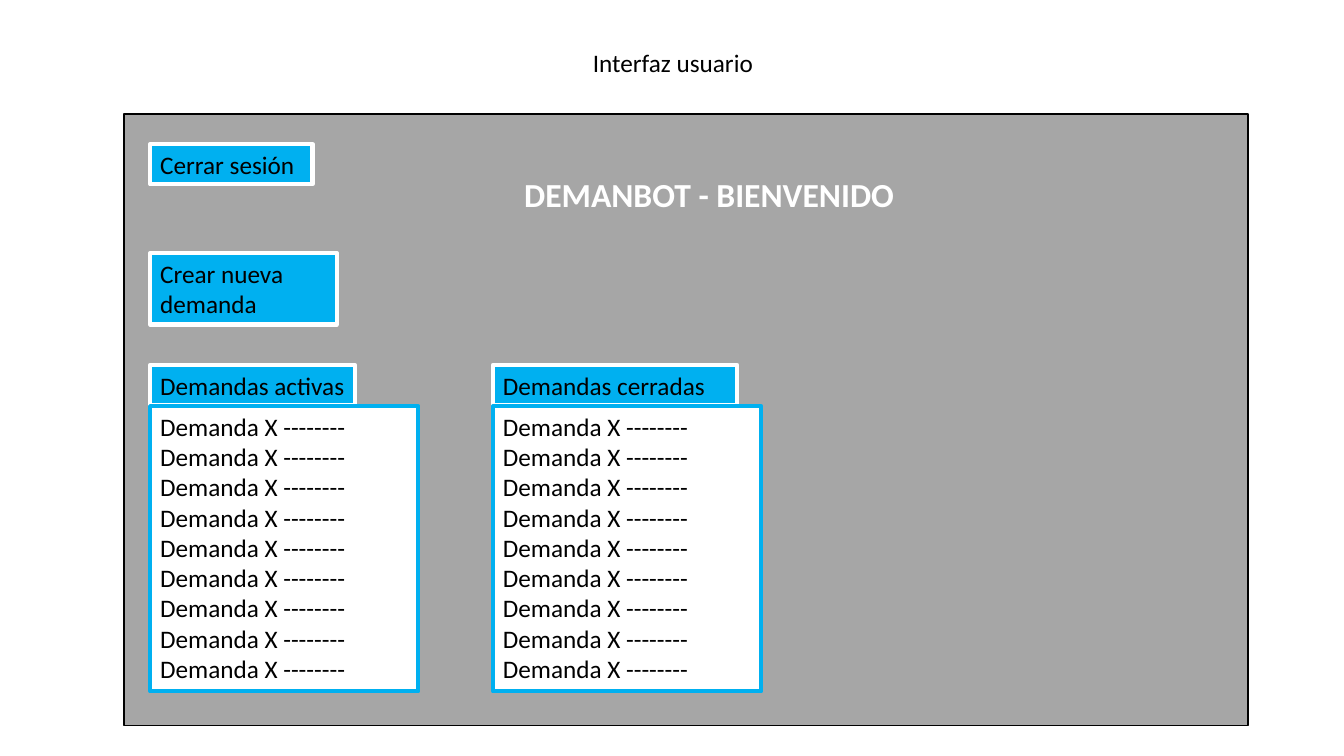
import pptx
import pptx.util
import pptx.dml.color
import pptx.enum.shapes
import pptx.enum.text

Inches = pptx.util.Inches
RGBColor = pptx.dml.color.RGBColor

BLACK = RGBColor(0, 0, 0)
WHITE = RGBColor(255, 255, 255)
GRAY = RGBColor(0xA6, 0xA6, 0xA6)
BLUE = RGBColor(0x00, 0xB0, 0xF0)

TITLE = "Interfaz usuario"
WELCOME = "DEMANBOT - BIENVENIDO"
CLAIM = "Demanda X --------"
CLAIMS = [CLAIM] * 6 + [f"{CLAIM} {CLAIM}", CLAIM]

LEFT = 1.49
COLUMN_STEP = 3.4
BUTTONS = [
    ("Cerrar sesión", 1.43, 1.61, 0.4),
    ("Crear nueva demanda", 2.51, 1.85, 0.71),
]
LISTS = [("Demandas activas", 2.03), ("Demandas cerradas", 2.42)]


def write(shape, lines, size=18, color=BLACK, bold=False):
    frame = shape.text_frame
    frame.word_wrap = True
    frame.auto_size = pptx.enum.text.MSO_AUTO_SIZE.NONE
    frame.vertical_anchor = pptx.enum.text.MSO_ANCHOR.TOP
    frame.text = "\n".join(lines)
    for paragraph in frame.paragraphs:
        paragraph.alignment = pptx.enum.text.PP_ALIGN.LEFT
        paragraph.font.name = "Calibri"
        paragraph.font.size = pptx.util.Pt(size)
        paragraph.font.bold = bold
        paragraph.font.color.rgb = color


def add_box(slide, left, top, width, height, fill, line, weight, lines=()):
    shape = slide.shapes.add_shape(
        pptx.enum.shapes.MSO_SHAPE.RECTANGLE,
        Inches(left), Inches(top), Inches(width), Inches(height))
    shape.shadow.inherit = False
    shape.fill.solid()
    shape.fill.fore_color.rgb = fill
    shape.line.color.rgb = line
    shape.line.width = pptx.util.Pt(weight)
    if lines:
        write(shape, lines)


def main():
    presentation = pptx.Presentation()
    presentation.slide_width = Inches(13.33)
    presentation.slide_height = Inches(7.5)
    slide = presentation.slides.add_slide(presentation.slide_layouts[5])

    title = slide.shapes.title
    title.left, title.top = Inches(5.78), Inches(0.42)
    title.width, title.height = Inches(2.22), Inches(0.4)
    write(title, [TITLE])

    add_box(slide, 1.23, 1.13, 11.15, 6.07, GRAY, BLACK, 1)
    for label, top, width, height in BUTTONS:
        add_box(slide, LEFT, top, width, height, BLUE, WHITE, 3, [label])
    for column, (heading, width) in enumerate(LISTS):
        left = LEFT + column * COLUMN_STEP
        add_box(slide, left, 3.62, width, 0.4, BLUE, WHITE, 3, [heading])
        add_box(slide, left, 4.03, 2.66, 2.83, WHITE, BLUE, 3, CLAIMS)

    welcome = slide.shapes.add_textbox(
        Inches(5.1), Inches(1.68), Inches(3.93), Inches(0.5))
    write(welcome, [WELCOME], 24, WHITE, True)

    presentation.save("out.pptx")


if __name__ == "__main__":
    main()
